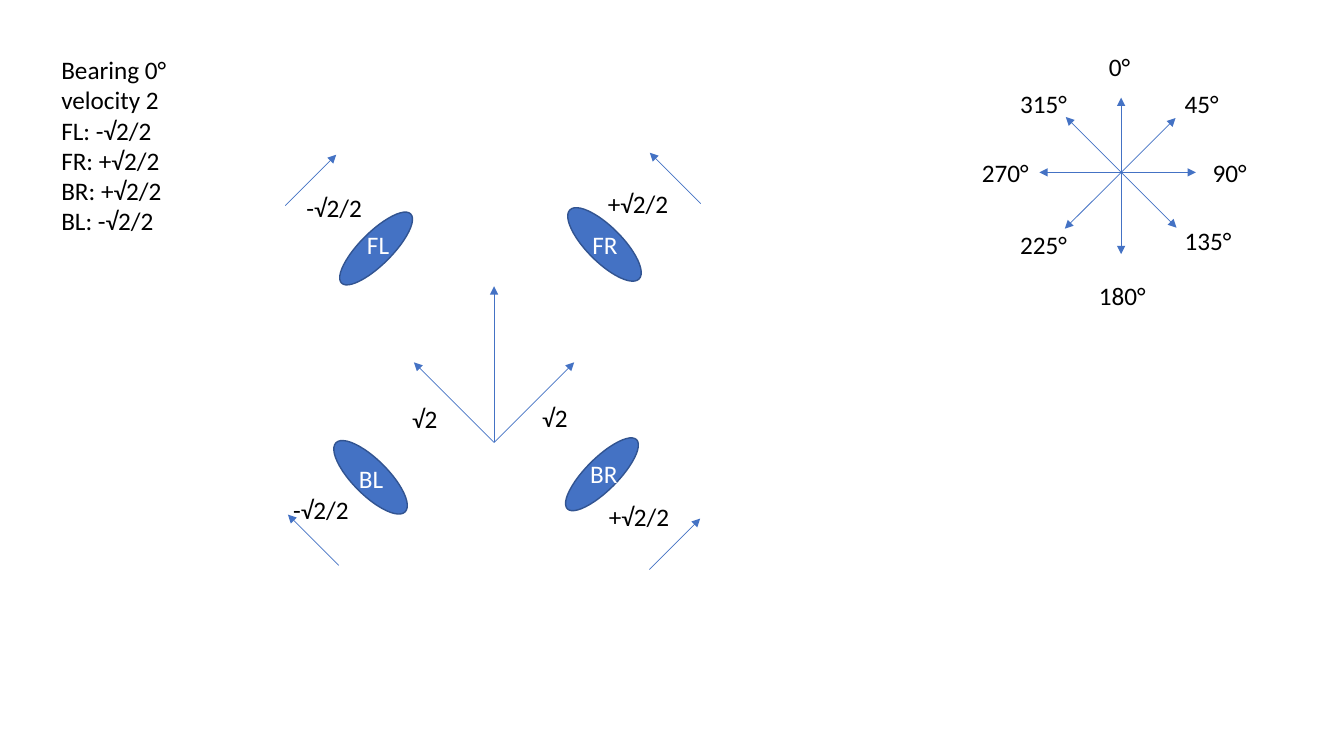
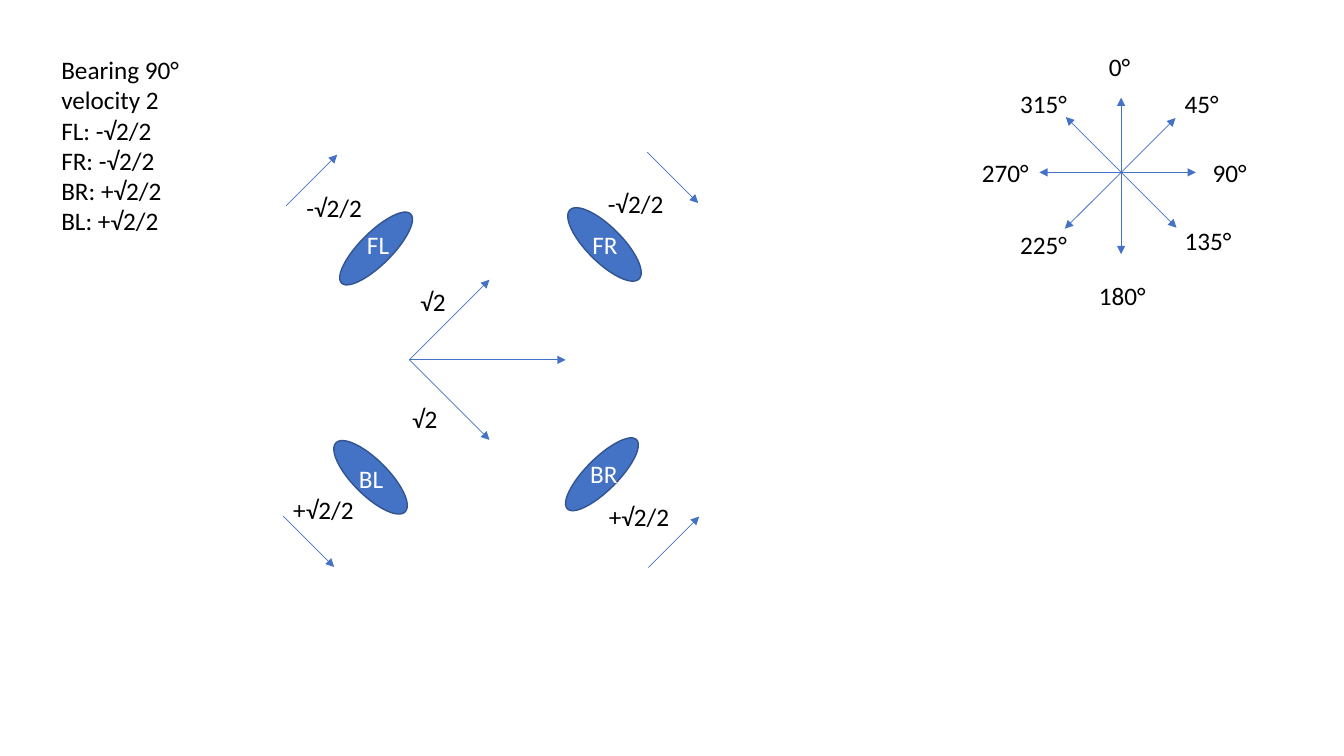
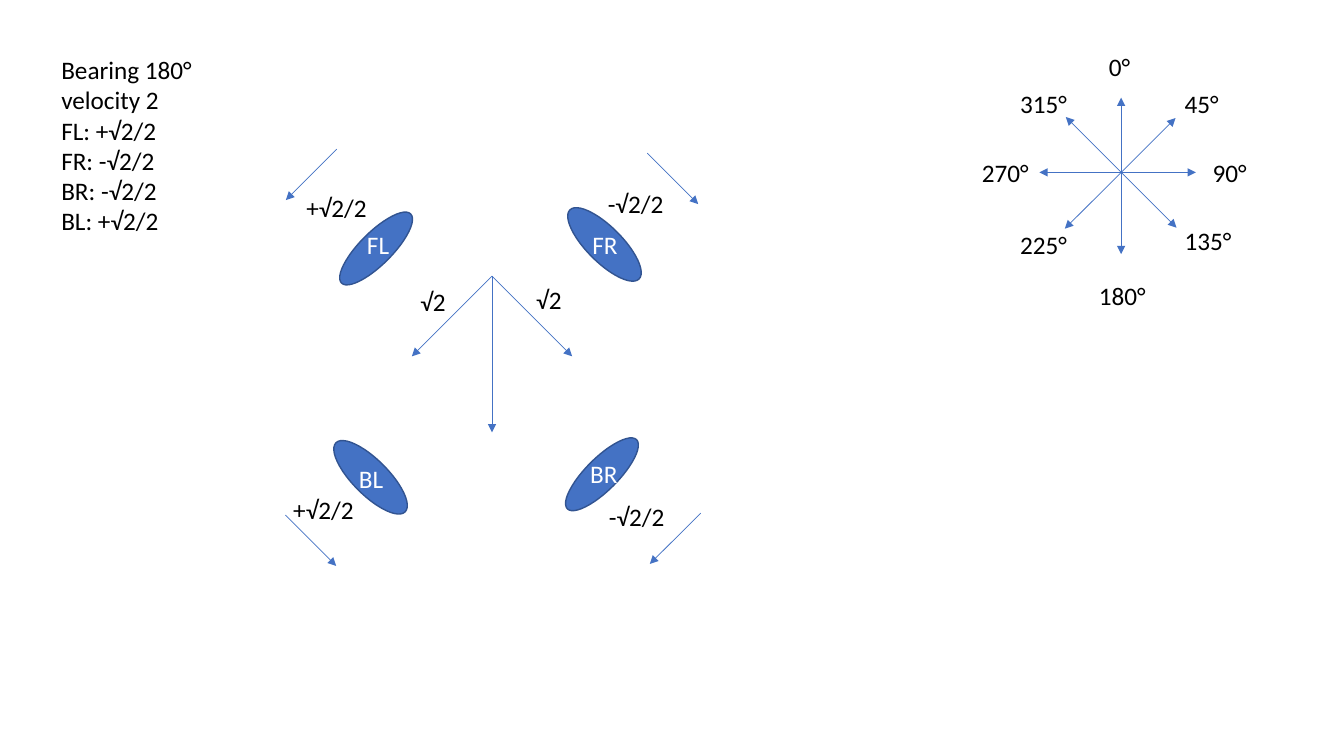
from math import cos, radians, sin

from lxml.etree import SubElement
from pptx import Presentation
from pptx.dml.color import RGBColor
from pptx.enum.shapes import MSO_CONNECTOR, MSO_SHAPE
from pptx.enum.text import MSO_AUTO_SIZE, PP_ALIGN
from pptx.oxml.ns import qn
from pptx.util import Inches, Pt

BLUE = RGBColor(0x44, 0x72, 0xC4)
DARK_BLUE = RGBColor(0x32, 0x54, 0x91)
BLACK = RGBColor(0, 0, 0)
WHITE = RGBColor(255, 255, 255)

CELL = 0.1
COLS, ROWS = 133.3, 75
TEXT_H = 4
PULL_LEN, PART_LEN, SPIN_LEN, AXIS_LEN = 15.5, 11.24, 7.14, 15.53
LABEL_W = {"√2": 4.6, "+√2/2": 8.1, "-√2/2": 7.6}

AXES = {0: (111.2, 17.45), 270: (110.85, 17.1), 45: (111.1, 17.2), 135: (111.2, 17.1)}
COMPASS = {
    0: (109, 4.6), 45: (116.5, 8.3), 90: (119.3, 15.1), 135: (116.5, 21.9),
    180: (108, 27.3), 225: (100.2, 22.3), 270: (96.4, 15.1), 315: (100.2, 8.3),
}
WHEELS = {
    "FL": {"forward": 225, "oval": (35.7, 19.8, 3.2, 9.7), "name": (34.7, 22.3), "speed": (29.4, 18.6)},
    "FR": {"forward": 315, "oval": (55.1, 22.5, 9.7, 3.5), "name": (57.2, 22.3), "speed": (59.3, 18.2)},
    "BR": {"forward": 45, "oval": (58.1, 42.2, 3.2, 9.7), "name": (57.1, 45), "speed": (59.4, 49.2)},
    "BL": {"forward": 135, "oval": (31.9, 45.6, 9.7, 3.5), "name": (34, 45.5), "speed": (28.1, 48.6)},
}
SCENES = [
    {
        "bearing": 0, "origin": (49, 43.9), "parts": [(52.8, 39.4), (39.9, 39.5)],
        "spins": {"FL": ("-", 28.3, 20.4), "FR": ("+", 69.5, 20.2),
                  "BR": ("+", 64.4, 56.5), "BL": ("-", 33.6, 56.1)},
    },
    {
        "bearing": 90, "origin": (40.6, 35.7), "parts": [(40.7, 27.9), (39.9, 39.5)],
        "spins": {"FL": ("-", 28.4, 20.4), "FR": ("-", 64.2, 15.1),
                  "BR": ("+", 64.3, 56.3), "BL": ("+", 28.1, 51.2)},
    },
    {
        "bearing": 180, "origin": (48.8, 27.4), "parts": [(40.7, 27.9), (52.2, 27.7)],
        "spins": {"FL": ("+", 33.4, 14.8), "FR": ("-", 64.2, 15.2),
                  "BR": ("-", 69.5, 50.9), "BL": ("+", 28.3, 51.1)},
    },
]


def grid(*cells):
    return [Inches(n * CELL) for n in cells]


def apply(obj, values):
    for key, value in values.items():
        setattr(obj, key, value)


def move(point, bearing, length):
    angle = radians(bearing)
    return point[0] + length * sin(angle), point[1] - length * cos(angle)


def add_text(s, lines, x, y, w, h=TEXT_H, color=BLACK, align=PP_ALIGN.LEFT, wrap=False):
    tf = s.shapes.add_textbox(*grid(x, y, w, h)).text_frame
    apply(tf, {"word_wrap": wrap, "auto_size": MSO_AUTO_SIZE.SHAPE_TO_FIT_TEXT})
    for i, line in enumerate(lines):
        p = tf.add_paragraph() if i else tf.paragraphs[0]
        p.alignment = align
        r = p.add_run()
        r.text = line
        apply(r.font, {"name": "Calibri", "size": Pt(18)})
        r.font.color.rgb = color


def add_arrow(s, start, bearing, length, ends=("tailEnd",)):
    end = move(start, bearing, length)
    c = s.shapes.add_connector(MSO_CONNECTOR.STRAIGHT, *grid(*start, *end))
    c.line.width = Pt(0.5)
    c.line.color.rgb = BLUE
    for tag in ends:
        SubElement(c.line._get_or_add_ln(), qn(f"a:{tag}"), type="triangle")
    SubElement(c._element.spPr, qn("a:effectLst"))


def add_compass(s):
    for bearing, centre in AXES.items():
        start = move(centre, bearing + 180, AXIS_LEN / 2)
        add_arrow(s, start, bearing, AXIS_LEN, ("headEnd", "tailEnd"))
    for bearing, (x, y) in COMPASS.items():
        label = f"{bearing}°"
        add_text(s, [label], x, y, 1.7 + 1.25 * len(label))


def add_wheel(s, name, sign, x, y):
    wheel = WHEELS[name]
    speed = f"{sign}√2/2"
    add_text(s, [speed], *wheel["speed"], LABEL_W[speed])
    turn = 0 if sign == "+" else 180
    add_arrow(s, (x, y), wheel["forward"] + turn, SPIN_LEN)
    sp = s.shapes.add_shape(MSO_SHAPE.OVAL, *grid(*wheel["oval"]))
    sp.rotation = 45
    sp.shadow.inherit = False
    sp.fill.solid()
    sp.fill.fore_color.rgb = BLUE
    sp.line.color.rgb = DARK_BLUE
    sp.line.width = Pt(1)
    add_text(s, [name], *wheel["name"], 5.6, color=WHITE, align=PP_ALIGN.CENTER, wrap=True)


def add_pull(s, bearing, origin, labels):
    add_arrow(s, origin, bearing, PULL_LEN)
    for side in (-45, 45):
        add_arrow(s, origin, bearing + side, PART_LEN)
    for x, y in labels:
        add_text(s, ["√2"], x, y, LABEL_W["√2"])


def add_scene(prs, scene):
    s = prs.slides.add_slide(prs.slide_layouts[6])
    bearing, spins = scene["bearing"], scene["spins"]
    summary = [f"Bearing {bearing}°", "velocity 2"]
    summary += [f"{name}: {spin[0]}√2/2" for name, spin in spins.items()]
    add_text(s, summary, 5.1, 4.9, 24.6, 19.2, wrap=True)
    add_compass(s)
    add_pull(s, bearing, scene["origin"], scene["parts"])
    for name, spin in spins.items():
        add_wheel(s, name, *spin)


def main():
    prs = Presentation()
    prs.slide_width, prs.slide_height = grid(COLS, ROWS)
    for scene in SCENES:
        add_scene(prs, scene)
    prs.save("out.pptx")


if __name__ == "__main__":
    main()
